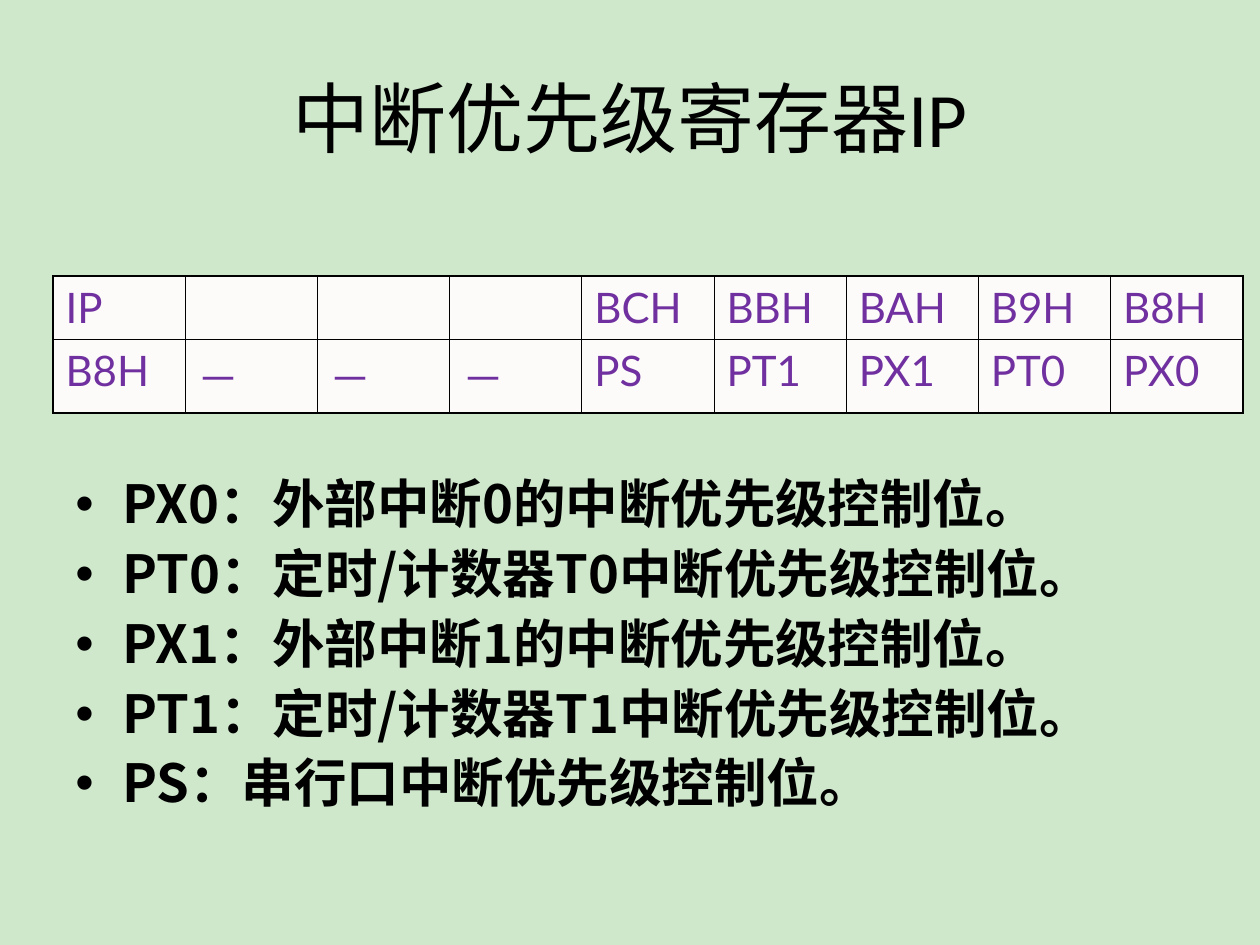
from dataclasses import dataclass

from lxml import etree
from pptx import Presentation
from pptx.dml.color import RGBColor
from pptx.enum.text import MSO_ANCHOR, PP_ALIGN
from pptx.oxml.ns import qn
from pptx.util import Pt

MIDDLE = MSO_ANCHOR.MIDDLE
CENTER = PP_ALIGN.CENTER
PX = 914400 // 126


@dataclass(frozen=True)
class Theme:
    """Hold the colours, fonts and type sizes."""
    back: str = "CFE8CC"
    ink: str = "000000"
    cell: str = "FCFBF9"
    code: str = "7030A0"
    head: str = "Calibri"
    grid: str = "Lato"
    han: str = "Noto Sans CJK SC"
    title: int = 44
    body: int = 30
    term: int = 24
    thin: float = 0.45
    thick: float = 1.08


THEME = Theme()
TITLE = "中断优先级寄存器IP"
BITS = [
    ["IP", "", "", "", "BCH", "BBH", "BAH", "B9H", "B8H"],
    ["B8H", "－", "－", "－", "PS", "PT1", "PX1", "PT0", "PX0"],
]
TALL = [63, 74]
NOTES = [
    "PX0：外部中断0的中断优先级控制位。",
    "PT0：定时/计数器T0中断优先级控制位。",
    "PX1：外部中断1的中断优先级控制位。",
    "PT1：定时/计数器T1中断优先级控制位。",
    "PS：串行口中断优先级控制位。",
]


def scale(*box):
    """Turn px lengths into EMU."""
    return [n * PX for n in box]


def style(font, face, size, color, bold=False):
    """Set the face, size, colour and weight of a font."""
    font.name, font.size, font.bold = face, Pt(size), bold
    font.color.rgb = RGBColor.from_string(color)


def write(para, text, face, size, color, bold=False):
    """Add one run with its Latin and Han faces."""
    run = para.add_run()
    run.text = text
    style(run.font, face, size, color, bold)
    props = run.font._element
    etree.SubElement(props, qn("a:ea")).set("typeface", THEME.han)


def frame(slide, box):
    """Add a wrapping text box and return its frame."""
    text = slide.shapes.add_textbox(*scale(*box)).text_frame
    text.word_wrap = True
    return text


def title(slide, box):
    """Place the centred heading."""
    text = frame(slide, box)
    text.vertical_anchor = MIDDLE
    para = text.paragraphs[0]
    para.alignment = CENTER
    write(para, TITLE, THEME.head, THEME.title, THEME.ink)


def edge(cell, side, width):
    """Draw one border of a cell."""
    line = etree.SubElement(cell._tc.get_or_add_tcPr(), qn("a:" + side))
    line.set("w", str(Pt(width)))
    fill = etree.SubElement(line, qn("a:solidFill"))
    etree.SubElement(fill, qn("a:srgbClr")).set("val", THEME.ink)


def table(slide, box):
    """Place the register table with a thick outer border."""
    rows, cols = len(BITS), len(BITS[0])
    grid = slide.shapes.add_table(rows, cols, *scale(*box)).table
    grid.first_row = grid.horz_banding = False
    for r, names in enumerate(BITS):
        grid.rows[r].height = TALL[r] * PX
        for c, name in enumerate(names):
            cell = grid.cell(r, c)
            outer = {"lnL": c == 0, "lnR": c == cols - 1,
                     "lnT": r == 0, "lnB": r == rows - 1}
            for side, rim in outer.items():
                edge(cell, side, THEME.thick if rim else THEME.thin)
            cell.fill.solid()
            cell.fill.fore_color.rgb = RGBColor.from_string(THEME.cell)
            para = cell.text_frame.paragraphs[0]
            if name:
                write(para, name, THEME.grid, THEME.term, THEME.code)


def bullet(para, indent):
    """Give a paragraph a hanging bullet."""
    props = para._p.get_or_add_pPr()
    props.set("marL", str(indent * PX))
    props.set("indent", str(-indent * PX))
    etree.SubElement(props, qn("a:buFont")).set("typeface", "Arial")
    etree.SubElement(props, qn("a:buChar")).set("char", "•")


def notes(slide, box):
    """Place the bulleted list of control bits."""
    text = frame(slide, box)
    for i, note in enumerate(NOTES):
        para = text.add_paragraph() if i else text.paragraphs[0]
        bullet(para, 47)
        para.line_spacing = 0.9
        para.space_before = Pt(7.5 if i else 0)
        write(para, note, THEME.han, THEME.body, THEME.ink, True)


def main():
    """Build and save the slide."""
    deck = Presentation()
    deck.slide_width, deck.slide_height = scale(1260, 945)
    slide = deck.slides.add_slide(deck.slide_layouts[6])
    fill = slide.background.fill
    fill.solid()
    fill.fore_color.rgb = RGBColor.from_string(THEME.back)
    title(slide, (63, 38, 1134, 157))
    notes(slide, (63, 472, 1134, 358))
    table(slide, (53, 276, 1190, sum(TALL)))
    deck.save("out.pptx")


if __name__ == "__main__":
    main()
